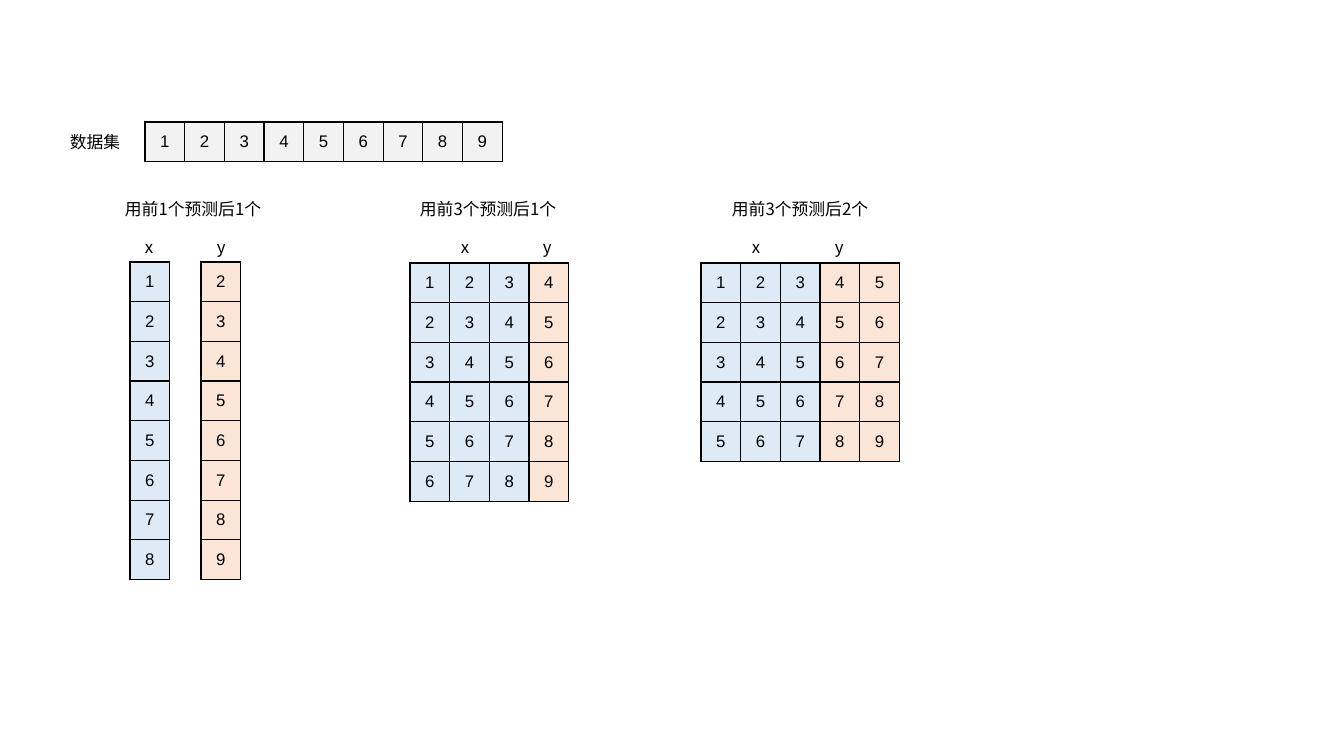
from pptx import Presentation
from pptx.dml.color import RGBColor
from pptx.enum.text import MSO_ANCHOR, PP_ALIGN
from pptx.oxml import parse_xml
from pptx.oxml.ns import nsdecls
from pptx.util import Cm, Pt

PX = 914400 / 100.8
CELL = Cm(1)
CENTER, MIDDLE = PP_ALIGN.CENTER, MSO_ANCHOR.MIDDLE
LABEL, DIGIT = "Noto Sans CJK SC", "Arial"
COLORS = {"data": "F2F2F2", "x": "DEEBF7", "y": "FBE5D6", "ink": "000000"}

deck = Presentation()
deck.slide_width, deck.slide_height = round(1344 * PX), round(756 * PX)
slide = deck.slides.add_slide(deck.slide_layouts[6])
shapes = slide.shapes


def write(frame, text, face):
    """Put one line of 12 pt text in a frame and return its paragraph."""
    para = frame.paragraphs[0]
    para.text = text
    font = para.font
    font.name, font.size = face, Pt(12)
    font.color.rgb = RGBColor.from_string(COLORS["ink"])
    font._element.find("{*}latin").addnext(
        parse_xml(f'<a:ea {nsdecls("a")} typeface="{face}"/>'))
    return para


def add_grid(left, top, rows, first, kinds):
    """Draw a sliding-window table; kinds names the colour of each column."""
    cols = len(kinds)
    table = shapes.add_table(rows, cols, round(left * PX), round(top * PX),
                             cols * CELL, rows * CELL).table
    table.first_row = table.horz_banding = False
    for col in table.columns:
        col.width = CELL
    for r, row in enumerate(table.rows):
        row.height = CELL
        for c, cell in enumerate(row.cells):
            cell.margin_left = cell.margin_right = 0
            cell.margin_top = cell.margin_bottom = 0
            cell.vertical_anchor = MIDDLE
            write(cell.text_frame, str(first + r + c), DIGIT).alignment = CENTER
            cell.fill.solid()
            cell.fill.fore_color.rgb = RGBColor.from_string(COLORS[kinds[c]])
            for n, side in enumerate(("lnL", "lnR", "lnT", "lnB")):
                cell._tc.tcPr.insert(n, parse_xml(
                    f'<a:{side} {nsdecls("a")} w="{Pt(1)}"><a:solidFill>'
                    f'<a:srgbClr val="{COLORS["ink"]}"/></a:solidFill></a:{side}>'))


# left, top, width, text
labels = [(60, 127, 72, "数据集")]
titles = [(115, "用前1个预测后1个"), (410, "用前3个预测后1个"),
          (722, "用前3个预测后2个")]
labels += [(left, 194, 159, text) for left, text in titles]
for pair in ((135, 207), (451, 533), (742, 825)):
    labels += [(left, 232, 29, name) for left, name in zip(pair, "xy")]

for left, top, width, text in labels:
    box = shapes.add_textbox(round(left * PX), round(top * PX),
                             round(width * PX), round(30 * PX))
    box.text_frame.word_wrap = True
    write(box.text_frame, text, LABEL)

# left, top, rows, first value, column kinds
grids = [
    (145, 122, 1, 1, ["data"] * 9),
    (130, 262, 8, 1, "x"),
    (201, 262, 8, 2, "y"),
    (410, 263, 6, 1, "xxxy"),
    (701, 263, 5, 1, "xxxyy"),
]
for grid in grids:
    add_grid(*grid)

deck.save("out.pptx")
